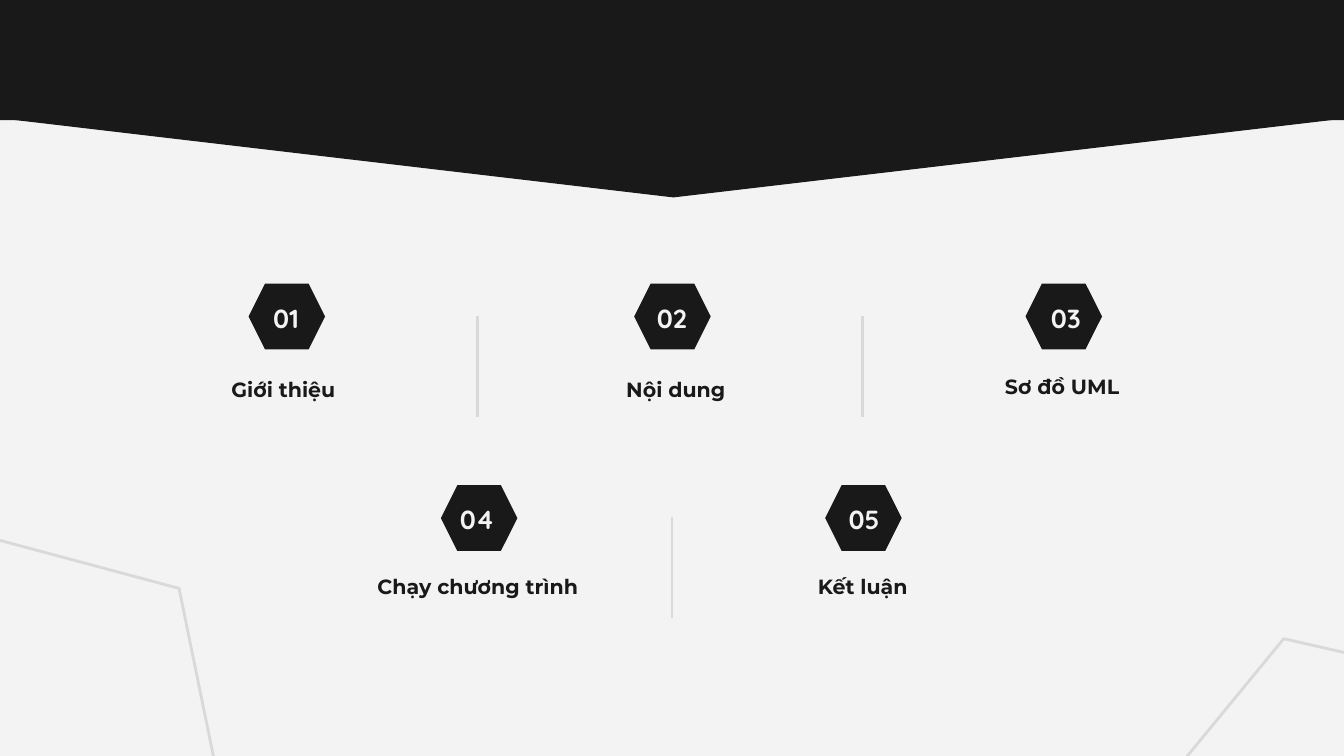
from lxml import etree
from pptx import Presentation
from pptx.dml.color import RGBColor
from pptx.enum import shapes, text
from pptx.oxml.ns import qn
from pptx.util import Pt

INK = {"dark": "191919", "pale": "F3F3F3", "rule": "D9D9D9"}
WIDE, HIGH = 720, 405

# number, label, hexagon left, number centre, label left, top and width
ITEMS = [
    ("01", "Giới thiệu\u00a0", 133.2, 153.2, 78.5, 185.8, 149.8),
    ("02", "Nội dung", 339.8, 360, 285.8, 185.8, 152.6),
    ("03", "Sơ đồ UML\u00a0", 549.4, 571, 507.6, 184.3, 126),
    ("04", "Chạy chương trình", 236.2, 255.6, 193, 291.6, 126),
    ("05", "Kết luận", 442.1, 463, 396, 291.6, 132.5),
]
ROWS = [151.9, 259.9]
FIRST = 3  # items in the first row
HEX = (41, 35.3)
NUM = (59, 23.8)
RULES = [(462.2, 169.2), (255.6, 169.2), (360, 277.2)]
RULE_LEN = 54
FRAMES = [(-112.3, 293.8, 15), (596.9, 363.6, 309.4)]
FRAME = (232.6, 182.2)

LABEL = {"name": "Montserrat", "size": Pt(11), "bold": True}
COUNT = {"name": "Quicksand", "size": Pt(14), "bold": True}
KIND = shapes.MSO_SHAPE


def tint(name):
    return RGBColor.from_string(INK[name])


def draw(kind, x, y, w, h, fill=None, line=None, wt=1.5, turn=0):
    """Add a flat preset shape with an optional fill, outline and rotation."""
    item = page.shapes.add_shape(kind, Pt(x), Pt(y), Pt(w), Pt(h))
    item.shadow.inherit = False
    item.rotation = turn
    if fill:
        item.fill.solid()
        item.fill.fore_color.rgb = tint(fill)
    else:
        item.fill.background()
    if line:
        item.line.color.rgb = tint(line)
        item.line.width = Pt(wt)
    else:
        item.line.fill.background()


def write(words, x, y, w, h, font, color):
    frame = page.shapes.add_textbox(Pt(x), Pt(y), Pt(w), Pt(h)).text_frame
    form = {"word_wrap": True, "vertical_anchor": text.MSO_ANCHOR.MIDDLE}
    for side in ("left", "right", "top", "bottom"):
        form["margin_" + side] = Pt(7.2)
    for key, val in form.items():
        setattr(frame, key, val)
    para = frame.paragraphs[0]
    para.alignment = text.PP_ALIGN.CENTER
    run = para.add_run()
    run.text = words
    for key, val in font.items():
        setattr(run.font, key, val)
    run.font.color.rgb = tint(color)


def rule(x, y):
    item = page.shapes.add_connector(
        shapes.MSO_CONNECTOR.STRAIGHT, Pt(x), Pt(y), Pt(x), Pt(y + RULE_LEN))
    item.line.color.rgb = tint("rule")
    item.line.width = Pt(1.5)
    etree.SubElement(item._element.spPr, qn("a:effectLst"))


deck = Presentation()
deck.slide_width, deck.slide_height = Pt(WIDE), Pt(HIGH)
page = deck.slides.add_slide(deck.slide_layouts[6])
page.background.fill.solid()
page.background.fill.fore_color.rgb = tint("pale")

draw(KIND.ISOSCELES_TRIANGLE, -0.7, 62.9, 722.9, 42.5,
     "dark", "dark", 0.75, 180)
draw(KIND.RECTANGLE, -0.7, -3, 722.9, 67.4, "dark")

for i, (num, label, left, mid, x, y, w) in enumerate(ITEMS):
    top = ROWS[i // FIRST]
    draw(KIND.HEXAGON, left, top, *HEX, "dark")
    write(num, mid - NUM[0] / 2, top + 6.5, *NUM, COUNT, "pale")
    write(label, x, y, w, 45.4, LABEL, "dark")

for spot in RULES:
    rule(*spot)
for x, y, turn in FRAMES:
    draw(KIND.HEXAGON, x, y, *FRAME, line="rule", turn=turn)

deck.save("out.pptx")
